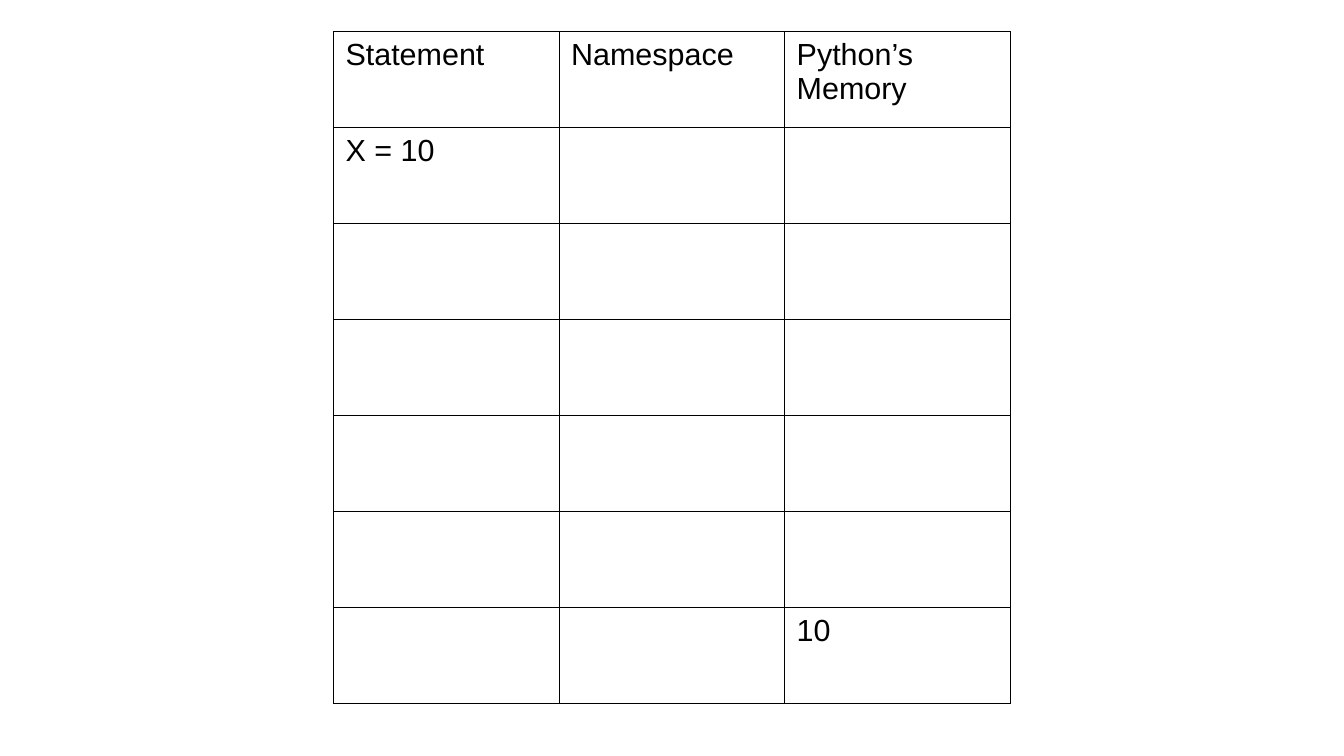
from dataclasses import dataclass

from lxml.etree import SubElement
from pptx import Presentation
from pptx.dml.color import RGBColor
from pptx.oxml.ns import qn
from pptx.util import Pt


@dataclass(frozen=True)
class Theme:
    font: str = "Arial"
    size: float = 18
    ink: str = "000000"
    rule: float = 0.57


THEME = Theme()
COLS, ROWS = 3, 7
COL_W, ROW_H = 133.2, 56.7
LEFT, TOP = 196.8, 18.6

# Texts by (row, column); all other cells stay empty
TEXTS = {
    (0, 0): "Statement",
    (0, 1): "Namespace",
    (0, 2): "Python’s Memory",
    (1, 0): "X = 10",
    (6, 2): "10",
}


def add_rules(cell):
    """Draw a thin line on all four sides of a cell."""
    props = cell._tc.get_or_add_tcPr()
    for side in ("lnL", "lnR", "lnT", "lnB"):
        line = SubElement(props, qn(f"a:{side}"), w=str(Pt(THEME.rule)))
        fill = SubElement(line, qn("a:solidFill"))
        SubElement(fill, qn("a:srgbClr"), val=THEME.ink)


def fill_cell(cell, text):
    """Set the lines, margins, text and font of a cell."""
    add_rules(cell)
    cell.fill.background()
    cell.margin_left = cell.margin_right = Pt(7.2)
    cell.margin_top = cell.margin_bottom = Pt(3.6)
    cell.text_frame.text = text
    font = cell.text_frame.paragraphs[0].font
    font.size = Pt(THEME.size)
    for run in cell.text_frame.paragraphs[0].runs:
        run.font.name = THEME.font
        run.font.size = Pt(THEME.size)
        run.font.color.rgb = RGBColor.from_string(THEME.ink)


def add_grid(slide):
    """Add the table of statements, names and memory."""
    frame = slide.shapes.add_table(
        ROWS, COLS, Pt(LEFT), Pt(TOP), Pt(COLS * COL_W), Pt(ROWS * ROW_H)
    )
    table = frame.table
    table.first_row = table.horz_banding = False
    for col in table.columns:
        col.width = Pt(COL_W)
    for r, row in enumerate(table.rows):
        row.height = Pt(ROW_H)
        for c, cell in enumerate(row.cells):
            fill_cell(cell, TEXTS.get((r, c), ""))


def main():
    # Slide size and blank layout
    deck = Presentation()
    deck.slide_width, deck.slide_height = Pt(793.44), Pt(446.4)
    slide = deck.slides.add_slide(deck.slide_layouts[6])

    # Memory table
    add_grid(slide)
    deck.save("out.pptx")


if __name__ == "__main__":
    main()
